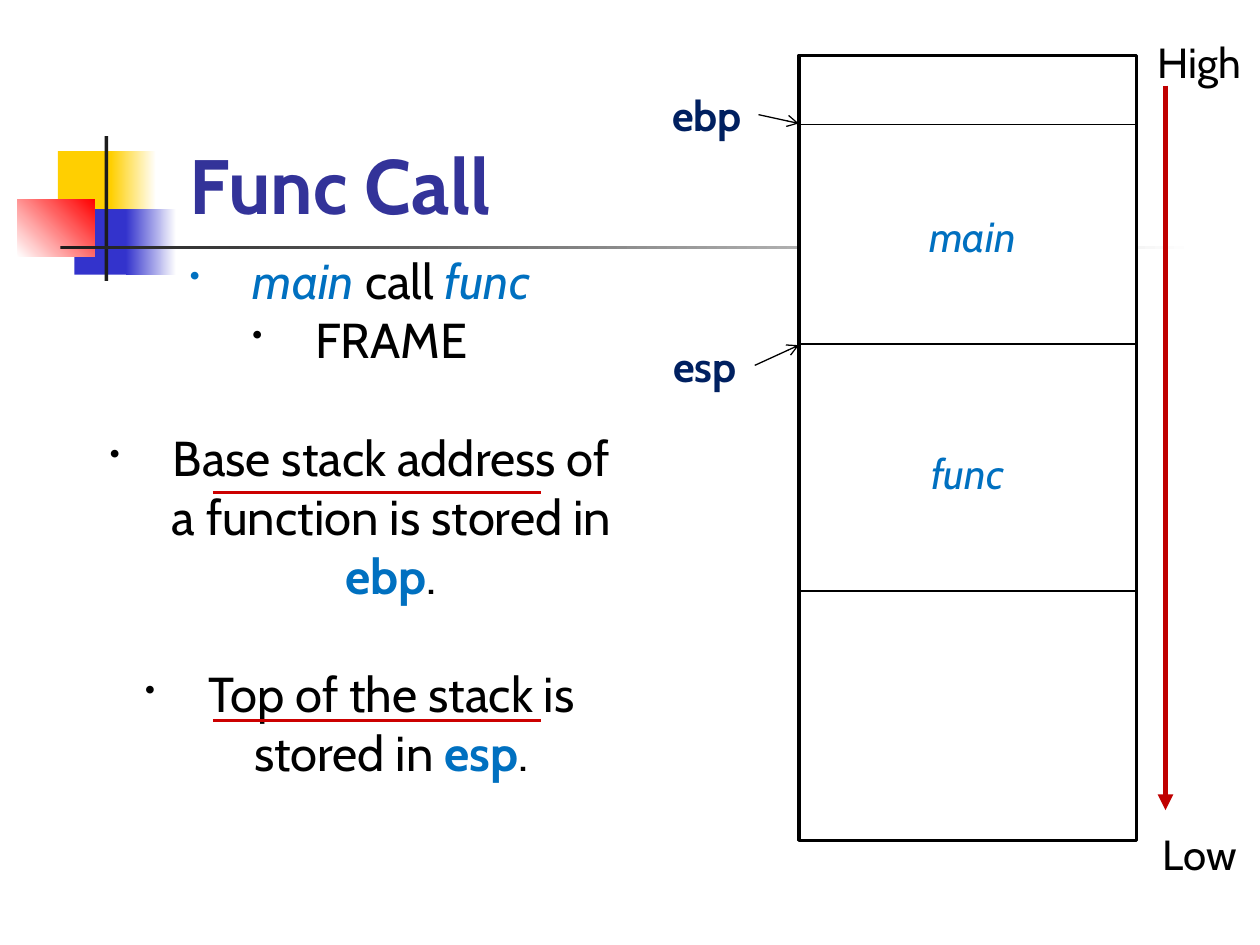
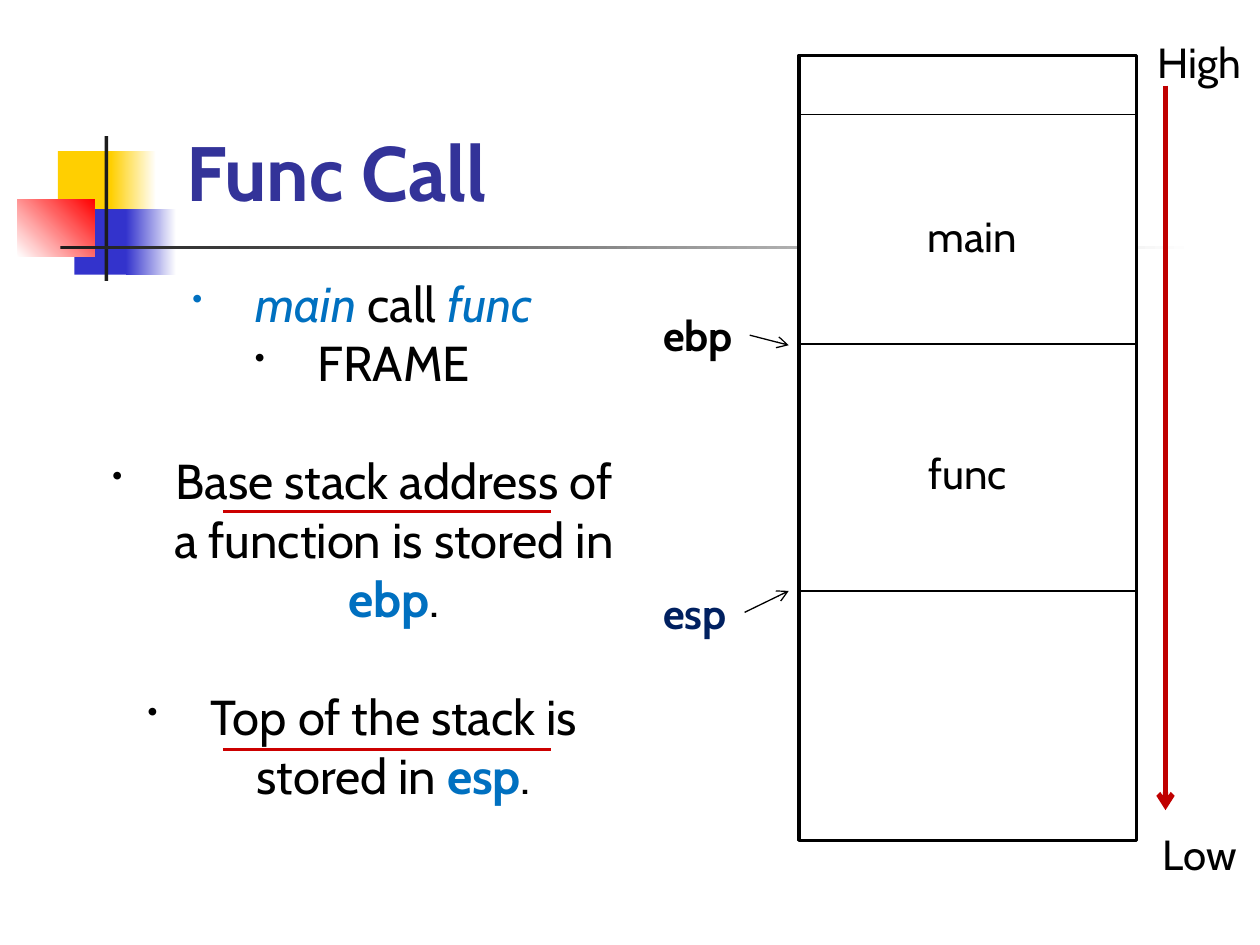
from dataclasses import dataclass

from lxml import etree
from pptx import Presentation
from pptx.dml.color import RGBColor
from pptx.enum.shapes import MSO_CONNECTOR, MSO_SHAPE
from pptx.enum.text import MSO_ANCHOR, MSO_AUTO_SIZE, PP_ALIGN
from pptx.oxml.ns import qn
from pptx.util import Inches, Pt

RECTANGLE = MSO_SHAPE.RECTANGLE
STRAIGHT = MSO_CONNECTOR.STRAIGHT
CENTER, LEFT = PP_ALIGN.CENTER, PP_ALIGN.LEFT
TOP, BOTTOM = MSO_ANCHOR.TOP, MSO_ANCHOR.BOTTOM
GROW = MSO_AUTO_SIZE.SHAPE_TO_FIT_TEXT


@dataclass(frozen=True)
class Theme:
    """Colours, font, type sizes and line widths shared by the slides."""
    font: str = "Cabin"
    title_size: float = 44
    body_size: float = 28
    label_size: float = 24
    group_gap: float = 34
    thin: float = 0.75
    medium: float = 2
    thick: float = 3
    white: str = "FFFFFF"
    black: str = "000000"
    title: str = "333399"
    accent: str = "0070C0"
    navy: str = "002060"
    underline: str = "CC0000"
    direction: str = "C00000"
    yellow: str = "FFCF01"
    blue: str = "3333CC"
    red: str = "FF0000"
    ink: str = "1C1C1C"


@dataclass(frozen=True)
class Span:
    """A piece of text with one look."""
    text: str
    color: str
    bold: bool = False
    italic: bool = False


THEME = Theme()
STACK_LEFT, STACK_TOP, STACK_WIDTH, STACK_HEIGHT = 6.34, 0.44, 2.68, 6.23
UNDERLINE_WIDTH = 2.6
LABEL_HEIGHT = 0.5

DECORATION = (
    ((0.46, 1.2, 0.48, 0.52), (THEME.yellow,), 0),
    ((0.88, 1.2, 0.36, 0.52), (THEME.yellow, THEME.white), 0),
    ((0.59, 1.66, 0.46, 0.52), (THEME.blue,), 0),
    ((1, 1.66, 0.4, 0.52), (THEME.blue, THEME.white), 0),
    ((0.14, 1.58, 0.61, 0.46), (THEME.white, THEME.red), 45),
    ((0.83, 1.08, 0.03, 1.15), (THEME.ink,), 0),
    ((0.48, 1.95, 9, 0.03), (THEME.ink, THEME.white), 0),
)

BULLETS = (
    (0, (Span("main", THEME.accent, italic=True), Span(" call ", THEME.black),
         Span("func", THEME.accent, italic=True))),
    (0, (Span("FRAME", THEME.black),)),
    (THEME.group_gap, (
        Span("Base stack address of a function is stored in ", THEME.black),
        Span("ebp", THEME.accent, bold=True), Span(".", THEME.black))),
    (THEME.group_gap, (
        Span("Top of the stack is stored in ", THEME.black),
        Span("esp", THEME.accent, bold=True), Span(".", THEME.black))),
)


def rgb(color):
    """Turn a hex string into a colour."""
    return RGBColor.from_string(color)


def add_rectangle(page, area, colors, angle=0, outline=None):
    """Add a rectangle with a solid or two-colour gradient fill."""
    box = page.shapes.add_shape(RECTANGLE, *map(Inches, area))
    box.shadow.inherit = False
    if len(colors) == 1:
        box.fill.solid()
        box.fill.fore_color.rgb = rgb(colors[0])
    else:
        box.fill.gradient()
        box.fill.gradient_angle = angle
        for stop, color, position in zip(box.fill.gradient_stops, colors, (0, 1)):
            stop.color.rgb = rgb(color)
            stop.position = position
    if outline:
        box.line.color.rgb = rgb(outline)
        box.line.width = Pt(THEME.medium)
    else:
        box.line.fill.background()


def add_line(page, start, end, color=THEME.black, width=THEME.thin, head=None):
    """Add a straight line, with an arrowhead at its end if one is named."""
    line = page.shapes.add_connector(STRAIGHT, *map(Inches, (*start, *end)))
    line.line.color.rgb = rgb(color)
    line.line.width = Pt(width)
    if head:
        outline = line.line._get_or_add_ln()
        etree.SubElement(outline, qn("a:tailEnd"), type=head)
    etree.SubElement(line._element.spPr, qn("a:effectLst"))


def add_text_box(page, area, wrap=True, anchor=TOP):
    """Add a text box and return its text frame."""
    frame = page.shapes.add_textbox(*map(Inches, area)).text_frame
    frame.word_wrap = wrap
    frame.vertical_anchor = anchor
    return frame


def add_spans(para, spans, size, align=CENTER):
    """Fill a paragraph run by run."""
    para.alignment = align
    for span in spans:
        run = para.add_run()
        run.text = span.text
        run.font.name = THEME.font
        run.font.size = Pt(size)
        run.font.bold = span.bold
        run.font.italic = span.italic
        run.font.color.rgb = rgb(span.color)


def add_bullet(para, color):
    """Give a paragraph a hanging bullet in the given colour."""
    properties = para._p.get_or_add_pPr()
    properties.set("marL", str(Inches(0.5)))
    properties.set("indent", str(Inches(-0.5)))
    bullet_color = etree.SubElement(properties, qn("a:buClr"))
    etree.SubElement(bullet_color, qn("a:srgbClr"), val=color)
    etree.SubElement(properties, qn("a:buSzPct"), val="60000")
    etree.SubElement(properties, qn("a:buChar"), char="•")


def add_title(page, left, top):
    """Add the slide title."""
    frame = add_text_box(page, (left, top, 3.23, 1.25), anchor=BOTTOM)
    span = Span("Func Call", THEME.title, bold=True)
    add_spans(frame.paragraphs[0], (span,), THEME.title_size, LEFT)


def add_label(page, left, top, width, span):
    """Add a one-line label."""
    frame = add_text_box(page, (left, top, width, LABEL_HEIGHT), wrap=False)
    add_spans(frame.paragraphs[0], (span,), THEME.label_size)


def add_explanation(page, left, top, underline_left, underline_tops):
    """Add the bulleted explanation and its red underlines."""
    frame = add_text_box(page, (left, top, 4.29, 4.77))
    frame.auto_size = GROW
    for index, (gap, spans) in enumerate(BULLETS):
        para = frame.add_paragraph() if index else frame.paragraphs[0]
        para.space_before = Pt(gap)
        add_spans(para, spans, THEME.body_size)
        add_bullet(para, spans[0].color)
    for height in underline_tops:
        add_line(page, (underline_left, height),
                 (underline_left + UNDERLINE_WIDTH, height),
                 THEME.underline, THEME.medium)


def add_stack(page, first_divider, direction_head):
    """Add the memory stack with its dividers and address direction."""
    add_rectangle(page, (STACK_LEFT, STACK_TOP, STACK_WIDTH, STACK_HEIGHT),
                  (THEME.white,), outline=THEME.black)
    for height in (first_divider, 2.73, 4.69):
        add_line(page, (STACK_LEFT, height), (STACK_LEFT + STACK_WIDTH, height))
    add_label(page, 9.05, 0.24, 0.94, Span("High", THEME.black))
    add_label(page, 9.1, 6.53, 0.84, Span("Low", THEME.black))
    add_line(page, (9.25, 0.68), (9.25, 6.43), THEME.direction, THEME.thick,
             direction_head)


def add_frame_names(page, main_area, func_area, color, italic):
    """Name the stack frames of main and func."""
    for name, (left, width), top in (("main", main_area, 1.62),
                                     ("func", func_area, 3.5)):
        add_label(page, left, top, width, Span(name, color, italic=italic))


def add_pointer(page, name, color, left, top, width, start, end):
    """Add a register name with an arrow to the stack."""
    add_label(page, left, top, width, Span(name, color, bold=True))
    add_line(page, start, end, head="arrow")


def add_page(deck):
    """Add a blank slide with the shared decoration."""
    page = deck.slides.add_slide(deck.slide_layouts[6])
    for area, colors, angle in DECORATION:
        add_rectangle(page, area, colors, angle)
    return page


def build_main_frame(deck):
    """Build the slide on which the registers bound main."""
    page = add_page(deck)
    add_title(page, 1.41, 0.62)
    add_stack(page, 0.99, "triangle")
    add_explanation(page, 0.71, 1.94, 1.69, (3.91, 5.72))
    add_frame_names(page, (7.24, 0.96), (7.26, 0.84), THEME.accent, True)
    add_pointer(page, "ebp", THEME.navy, 5.2, 0.66, 0.82, (6.02, 0.91), (6.34, 0.98))
    add_pointer(page, "esp", THEME.navy, 5.21, 2.65, 0.77, (5.99, 2.9), (6.34, 2.74))


def build_func_frame(deck):
    """Build the slide on which the registers bound func."""
    page = add_page(deck)
    add_title(page, 1.38, 0.52)
    add_stack(page, 0.91, "arrow")
    add_explanation(page, 0.73, 2.12, 1.77, (4.06, 5.95))
    add_frame_names(page, (7.22, 0.99), (7.24, 0.88), THEME.black, False)
    add_pointer(page, "ebp", THEME.black, 5.13, 2.41, 0.82, (5.95, 2.66), (6.26, 2.74))
    add_pointer(page, "esp", THEME.navy, 5.13, 4.61, 0.77, (5.91, 4.86), (6.26, 4.69))


def main():
    """Build and save the deck."""
    deck = Presentation()
    deck.slide_width, deck.slide_height = Inches(10), Inches(7.5)
    build_main_frame(deck)
    build_func_frame(deck)
    deck.save("out.pptx")


if __name__ == "__main__":
    main()
